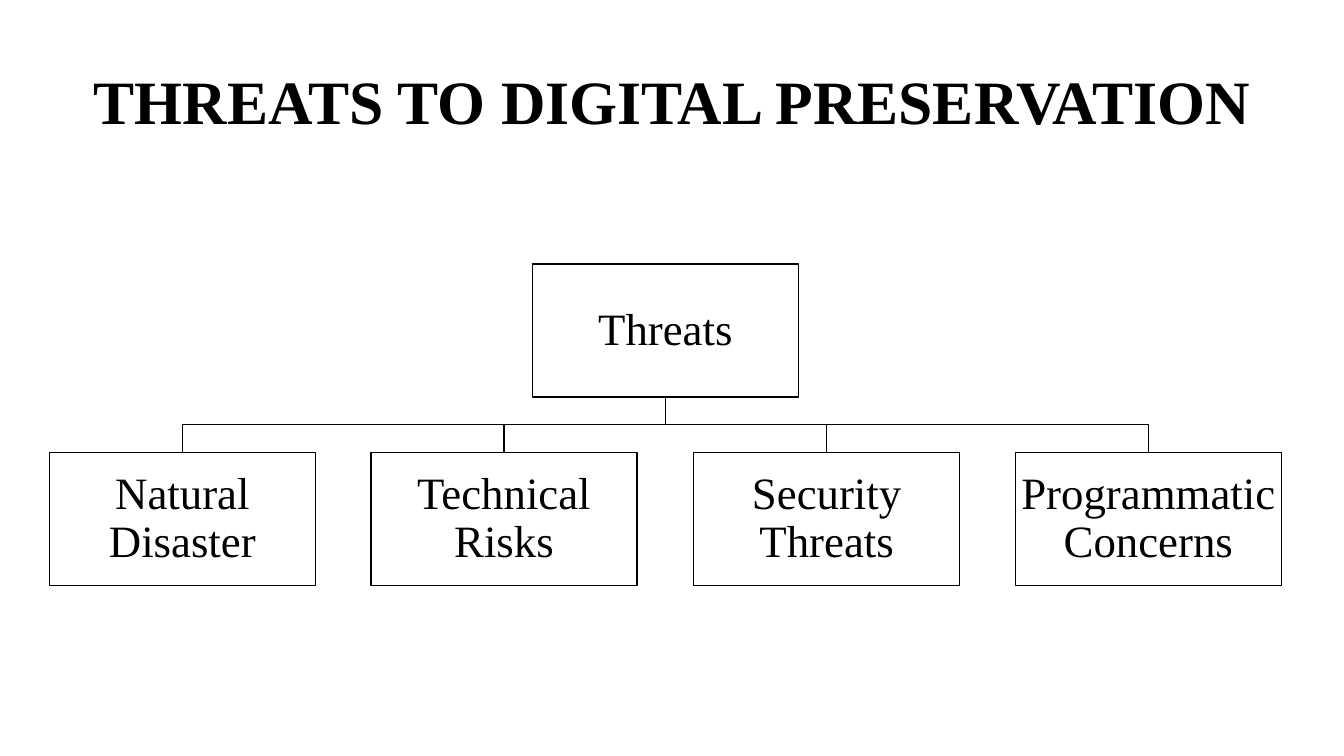
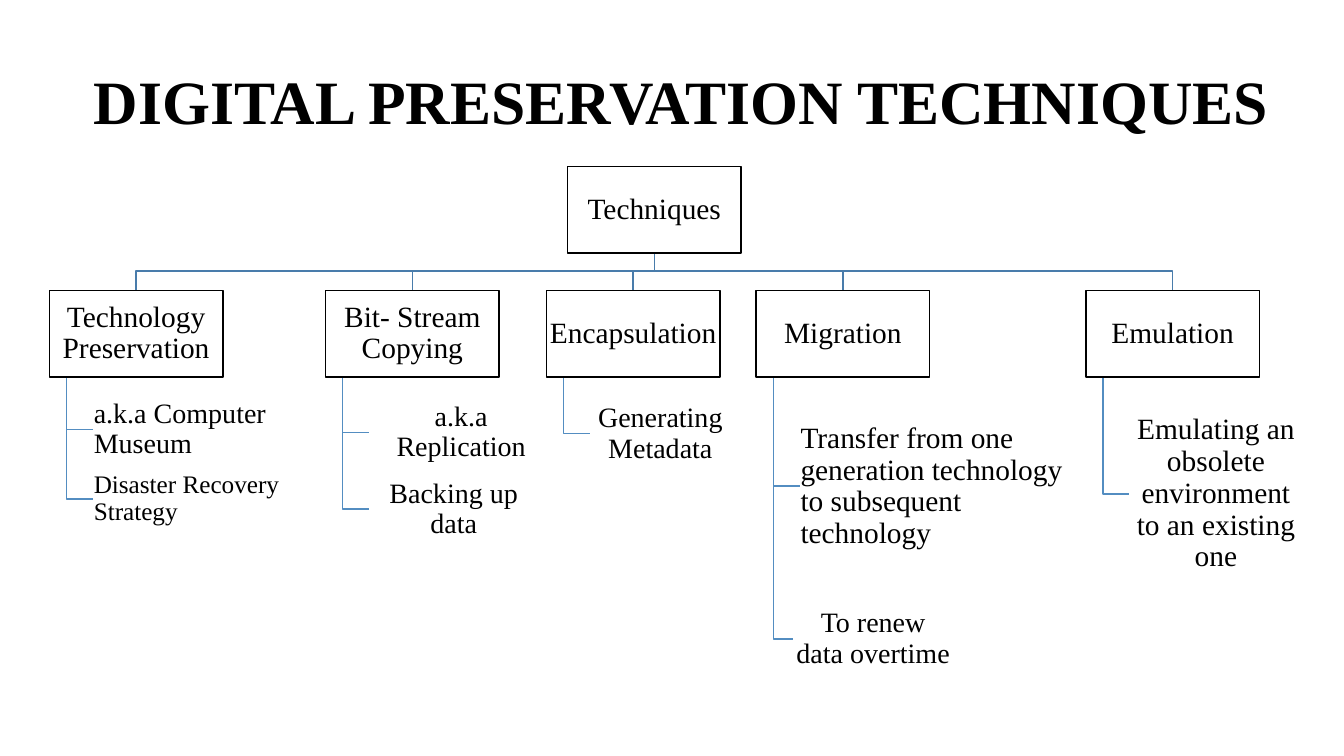
from dataclasses import dataclass

from pptx import Presentation
from pptx.dml.color import RGBColor
from pptx.enum.shapes import MSO_SHAPE as Preset
from pptx.enum.text import MSO_ANCHOR as Anchor
from pptx.enum.text import MSO_AUTO_SIZE as AutoSize
from pptx.enum.text import PP_ALIGN as Align
from pptx.shapes.base import BaseShape
from pptx.slide import Slide
from pptx.util import Emu, Pt

EMU_PER_PX = 9144
TITLE_ONLY = 5


@dataclass(frozen=True)
class Theme:
    font: str = "Times New Roman"
    ink: str = "000000"
    paper: str = "FFFFFF"
    trunk: str = "497CAB"
    twig: str = "538DC1"
    line_width: int = 1
    line_spacing: float = 0.9
    title_size: int = 44
    threat_size: int = 32
    technique_size: int = 21
    detail_size: int = 20
    small_size: int = 18


THEME = Theme()


@dataclass(frozen=True)
class Box:
    left: int
    top: int
    width: int
    height: int

    @property
    def center(self) -> int:
        return self.left + self.width // 2

    @property
    def middle(self) -> int:
        return self.top + self.height // 2

    @property
    def bottom(self) -> int:
        return self.top + self.height

    def emu(self) -> tuple[Emu, ...]:
        return tuple(map(px, (self.left, self.top, self.width, self.height)))


@dataclass(frozen=True)
class Detail:
    text: str
    top: int
    width: int
    height: int
    size: int = THEME.detail_size
    align: Align = Align.CENTER
    indent: int = 43


@dataclass(frozen=True)
class Branch:
    text: str
    left: int
    details: tuple[Detail, ...] = ()


@dataclass(frozen=True)
class Tree:
    title: str
    root_text: str
    root: Box
    branch_top: int
    branches: tuple[Branch, ...]
    size: int
    inset: int
    trunk_color: str


TITLE_BOX = Box(83, 59, 1210, 90)
STEM_INDENT = 17
THREATS = ("Natural Disaster", "Technical Risks", "Security Threats", "Programmatic Concerns")
THREATS_LEFT, THREATS_SPAN = 49, 958

TREES = (
    Tree(
        "THREATS TO DIGITAL PRESERVATION",
        "Threats",
        Box(528, 262, 264, 132),
        449,
        tuple(
            Branch(text, THREATS_LEFT + round(index * THREATS_SPAN / (len(THREATS) - 1)))
            for index, text in enumerate(THREATS)
        ),
        THEME.threat_size,
        2,
        THEME.ink,
    ),
    Tree(
        "DIGITAL PRESERVATION TECHNIQUES",
        "Techniques",
        Box(563, 165, 172, 86),
        288,
        (
            Branch("Technology Preservation", 49, (
                Detail("a.k.a Computer Museum", 410, 231, 32, align=Align.LEFT),
                Detail("Disaster Recovery Strategy", 478, 238, 34, THEME.small_size, Align.LEFT),
            )),
            Branch("Bit- Stream Copying", 323, (
                Detail("a.k.a Replication", 410, 183, 38),
                Detail("Backing up data", 484, 168, 43),
            )),
            Branch("Encapsulation", 542, (
                Detail("Generating Metadata", 410, 140, 41),
            )),
            Branch("Migration", 750, (
                Detail("Transfer from one generation technology to subsequent technology",
                       410, 291, 145, THEME.technique_size, Align.LEFT),
                Detail("To renew data overtime", 591, 158, 86, indent=37),
            )),
            Branch("Emulation", 1077, (
                Detail("Emulating an obsolete environment to an existing one",
                       410, 172, 160, THEME.technique_size),
            )),
        ),
        THEME.technique_size,
        1,
        THEME.trunk,
    ),
)


def px(length: int) -> Emu:
    return Emu(length * EMU_PER_PX)


def set_formats(target: object, formats: dict[str, object]) -> None:
    for name, value in formats.items():
        setattr(target, name, value)


def write_text(shape: BaseShape, text: str, size: int, align: Align,
               inset: int, bold: bool = False) -> None:
    frame = shape.text_frame
    margins = {f"margin_{side}": px(inset) for side in ("left", "top", "right", "bottom")}
    set_formats(frame, {
        "word_wrap": True,
        "auto_size": AutoSize.NONE,
        "vertical_anchor": Anchor.MIDDLE,
        **margins,
    })
    para = frame.paragraphs[0]
    set_formats(para, {"alignment": align, "line_spacing": THEME.line_spacing})
    span = para.add_run()
    span.text = text
    set_formats(span.font, {"name": THEME.font, "size": Pt(size), "bold": bold})
    span.font.color.rgb = RGBColor.from_string(THEME.ink)


def set_outline(shape: BaseShape, color: str) -> None:
    shape.shadow.inherit = False
    shape.line.color.rgb = RGBColor.from_string(color)
    shape.line.width = Pt(THEME.line_width)


def draw_title(page: Slide, text: str) -> None:
    title = page.shapes.title
    places = zip(("left", "top", "width", "height"), TITLE_BOX.emu())
    set_formats(title, dict(places))
    write_text(title, text, THEME.title_size, Align.LEFT, 10, bold=True)


def draw_link(page: Slide, points: list[tuple[int, int]], color: str) -> None:
    builder = page.shapes.build_freeform(*points[0], scale=EMU_PER_PX)
    builder.add_line_segments(points[1:], close=False)
    link = builder.convert_to_shape()
    link.fill.background()
    set_outline(link, color)


def draw_node(page: Slide, box: Box, text: str, tree: Tree) -> None:
    node = page.shapes.add_shape(Preset.RECTANGLE, *box.emu())
    node.fill.solid()
    node.fill.fore_color.rgb = RGBColor.from_string(THEME.paper)
    set_outline(node, THEME.ink)
    write_text(node, text, tree.size, Align.CENTER, tree.inset)


def draw_detail(page: Slide, parent: Box, detail: Detail, inset: int) -> None:
    box = Box(parent.left + detail.indent, detail.top, detail.width, detail.height)
    stem = parent.left + STEM_INDENT
    draw_link(page, [(stem, parent.bottom), (stem, box.middle), (box.left, box.middle)],
              THEME.twig)
    label = page.shapes.add_textbox(*box.emu())
    write_text(label, detail.text, detail.size, detail.align, inset)


def draw_tree(page: Slide, tree: Tree) -> None:
    root = tree.root
    rail = (root.bottom + tree.branch_top) // 2
    for branch in tree.branches:
        box = Box(branch.left, tree.branch_top, root.width, root.height)
        draw_link(page, [(root.center, root.bottom), (root.center, rail),
                         (box.center, rail), (box.center, box.top)], tree.trunk_color)
        for detail in branch.details:
            draw_detail(page, box, detail, tree.inset)
        draw_node(page, box, branch.text, tree)
    draw_node(page, root, tree.root_text, tree)


def main() -> None:
    deck = Presentation()
    set_formats(deck, {"slide_width": px(1333), "slide_height": px(750)})
    for tree in TREES:
        page = deck.slides.add_slide(deck.slide_layouts[TITLE_ONLY])
        draw_title(page, tree.title)
        draw_tree(page, tree)
    deck.save("out.pptx")


if __name__ == "__main__":
    main()
